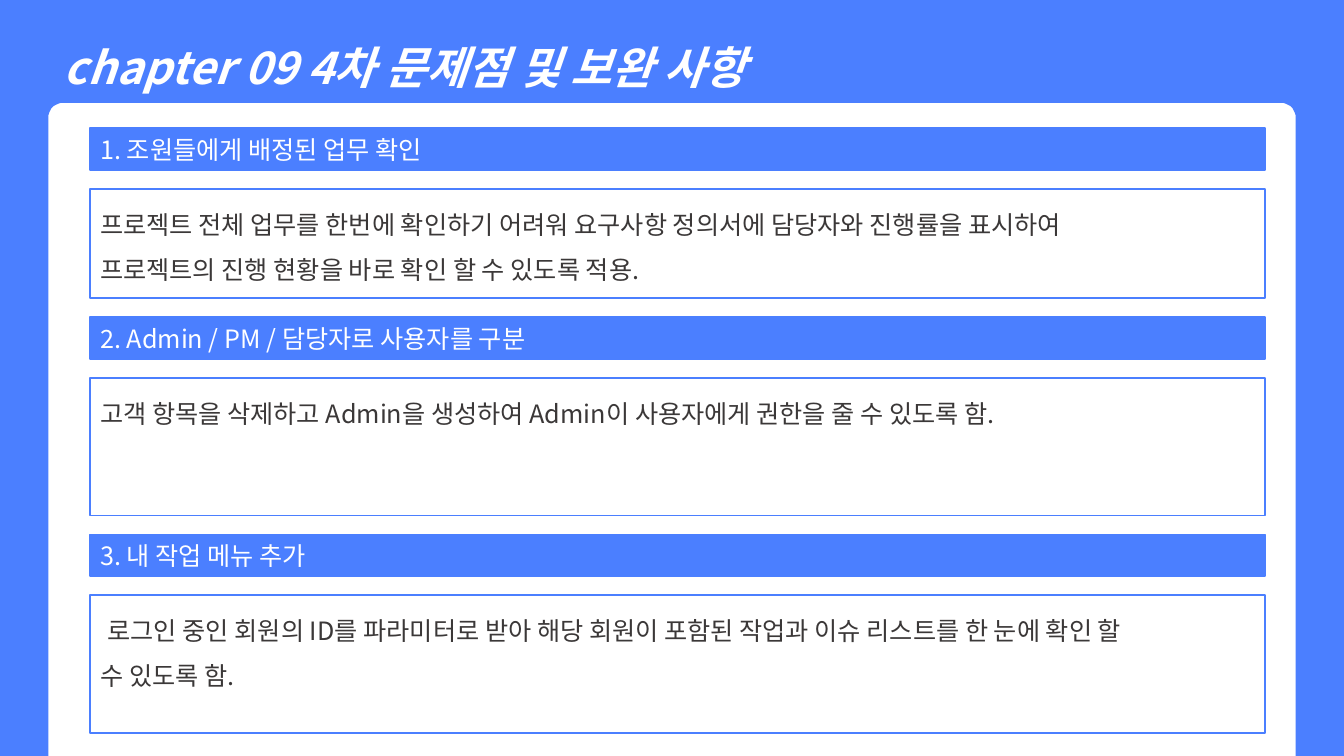
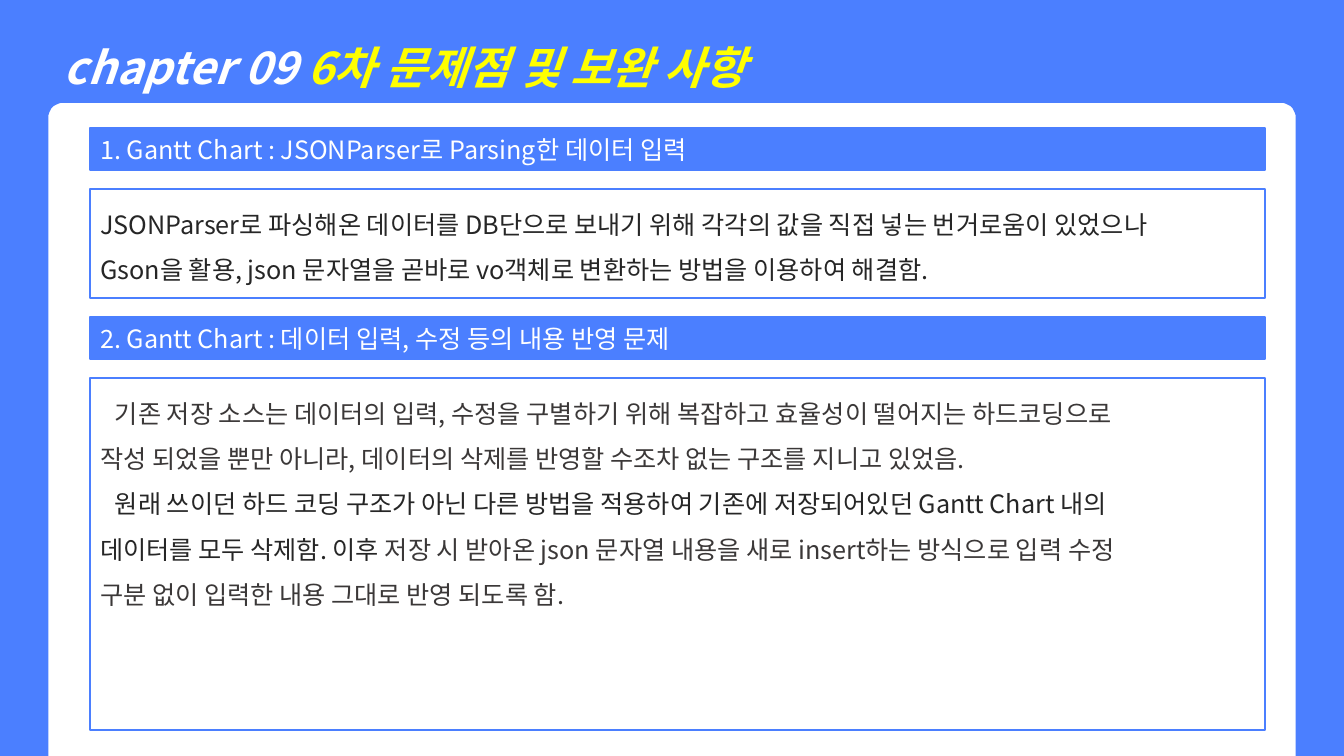
"""Build two chapter slides listing problems and their remedies."""
import math
from dataclasses import dataclass

from lxml import etree
from pptx import Presentation
from pptx.dml.color import RGBColor
from pptx.enum import shapes, text
from pptx.oxml.ns import qn
from pptx.util import Pt

PX = 9525
WIDTH, HEIGHT = 1280, 720
FONT = "Noto Sans CJK KR"
BLUE = RGBColor(0x4B, 0x7F, 0xFF)
WHITE = RGBColor(0xFF, 0xFF, 0xFF)
YELLOW = RGBColor(0xFF, 0xFF, 0x00)
GRAY = RGBColor(0x3B, 0x38, 0x38)
DARK = RGBColor(0x26, 0x26, 0x26)

MARGIN, PANEL_TOP, RADIUS = 46, 98, 14
SECTION_LEFT, SECTION_TOP, SECTION_WIDTH = 86, 122, 1119
BAR_HEIGHT, GAP = 40, 18
HANGING, SPACE = 36, 7


@dataclass
class Line:
    """One paragraph: (text, colour) runs and a first-line shift in px."""
    runs: list
    shift: int = 0


@dataclass
class Section:
    """A heading bar with the box of lines below it."""
    heading: str
    lines: list
    height: int


def line(words, color=GRAY, shift=0):
    """Return a line in a single colour."""
    return Line([(words, color)], shift)


SLIDES = [
    (
        line("chapter 09 4차 문제점 및 보완 사항", WHITE),
        [
            Section("1. 조원들에게 배정된 업무 확인", [
                line("프로젝트 전체 업무를 한번에 확인하기 어려워 요구사항 정의서에 담당자와 진행률을 표시하여"),
                line("프로젝트의 진행 현황을 바로 확인 할 수 있도록 적용."),
            ], 104),
            Section("2. Admin / PM / 담당자로 사용자를 구분", [
                line("고객 항목을 삭제하고 Admin을 생성하여 Admin이 사용자에게 권한을 줄 수 있도록 함."),
            ], 131),
            Section("3. 내 작업 메뉴 추가", [
                line("로그인 중인 회원의 ID를 파라미터로 받아 해당 회원이 포함된 작업과 이슈 리스트를 한 눈에 확인 할",
                     shift=SPACE),
                line("수 있도록 함."),
            ], 131),
        ],
    ),
    (
        Line([("chapter 09 ", WHITE), ("6차 문제점 및 보완 사항", YELLOW)]),
        [
            Section("1. Gantt Chart : JSONParser로 Parsing한 데이터 입력", [
                line("JSONParser로 파싱해온 데이터를 DB단으로 보내기 위해 각각의 값을 직접 넣는 번거로움이 있었으나", DARK),
                line("Gson을 활용, json 문자열을 곧바로 vo객체로 변환하는 방법을 이용하여 해결함.", DARK),
            ], 104),
            Section("2. Gantt Chart : 데이터 입력, 수정 등의 내용 반영 문제", [
                line("기존 저장 소스는 데이터의 입력, 수정을 구별하기 위해 복잡하고 효율성이 떨어지는 하드코딩으로",
                     shift=2 * SPACE),
                line("작성 되었을 뿐만 아니라, 데이터의 삭제를 반영할 수조차 없는 구조를 지니고 있었음."),
                line("원래 쓰이던 하드 코딩 구조가 아닌 다른 방법을 적용하여 기존에 저장되어있던 Gantt Chart 내의",
                     DARK, 2 * SPACE),
                Line([("데이터를 모두 삭제함. 이후 ", DARK),
                      ("저장 시 받아온 json 문자열 내용을 새로 insert하는 방식으로 입력 수정", GRAY)]),
                line("구분 없이 입력한 내용 그대로 반영 되도록 함."),
            ], 335),
        ],
    ),
]


def add_frame(slide):
    """Draw the blue frame around the white panel with rounded top corners."""
    right, center_y = WIDTH - MARGIN, PANEL_TOP + RADIUS
    corners = [(right - RADIUS, range(0, 91, 10)), (MARGIN + RADIUS, range(90, 181, 10))]
    arcs = [(cx + RADIUS * math.cos(math.radians(a)), center_y - RADIUS * math.sin(math.radians(a)))
            for cx, angles in corners for a in angles]
    outline = [(WIDTH, 0), (WIDTH, HEIGHT), (right, HEIGHT), *arcs, (MARGIN, HEIGHT), (0, HEIGHT)]
    fb = slide.shapes.build_freeform(0, 0, scale=PX)
    fb.add_line_segments(outline, close=True)
    sp = fb.convert_to_shape()
    sp.shadow.inherit = False
    sp.fill.solid()
    sp.fill.fore_color.rgb = BLUE
    sp.line.fill.background()


def add_box(parent, kind, x, y, w, h, fill=None):
    """Add a shape, filled and outlined in blue unless no fill is given."""
    sp = parent.shapes.add_shape(kind, x * PX, y * PX, w * PX, h * PX)
    sp.shadow.inherit = False
    if fill is None:
        sp.fill.background()
        sp.line.fill.background()
    else:
        sp.fill.solid()
        sp.fill.fore_color.rgb = fill
        sp.line.color.rgb = BLUE
        sp.line.width = Pt(1.25)
    return sp


def write(sp, lines, size=18, anchor=text.MSO_ANCHOR.MIDDLE, spacing=None, hanging=0, bold=None):
    """Write lines into a shape, with bold ones also italic."""
    tf = sp.text_frame
    tf.word_wrap = True
    tf.vertical_anchor = anchor
    for i, item in enumerate(lines):
        p = tf.paragraphs[0] if i == 0 else tf.add_paragraph()
        p.alignment = text.PP_ALIGN.LEFT
        p.line_spacing = spacing
        if hanging:
            pPr = p._p.get_or_add_pPr()
            pPr.set("marL", str(hanging * PX))
            pPr.set("indent", str((item.shift - hanging) * PX))
        base = item.runs[0][1]
        p.font.size = Pt(size)
        p.font.bold = p.font.italic = bold
        p.font.color.rgb = base
        p.font.name = FONT
        etree.SubElement(p._p.pPr.find(qn("a:defRPr")), qn("a:ea"), typeface=FONT)
        for words, color in item.runs:
            r = p.add_run()
            r.text = words
            if color != base:
                r.font.color.rgb = color


def add_title(slide, title):
    """Add the slide title above the panel."""
    sp = add_box(slide, shapes.MSO_SHAPE.ROUND_2_SAME_RECTANGLE, 48, 7, 1184, 84)
    sp.adjustments[0] = 0.14
    write(sp, [title], size=32, spacing=1.5, bold=True)


def add_section(slide, section, top):
    """Add a heading bar and its box as a group, and return the bottom edge."""
    group = slide.shapes.add_group_shape()
    rect = shapes.MSO_SHAPE.RECTANGLE
    bar = add_box(group, rect, SECTION_LEFT, top, SECTION_WIDTH, BAR_HEIGHT, BLUE)
    write(bar, [line(section.heading, WHITE)])
    body_top = top + BAR_HEIGHT + GAP
    body = add_box(group, rect, SECTION_LEFT, body_top, SECTION_WIDTH, section.height, WHITE)
    write(body, section.lines, anchor=text.MSO_ANCHOR.TOP, spacing=1.5, hanging=HANGING)
    return body_top + section.height


def main():
    """Build and save the slides."""
    prs = Presentation()
    prs.slide_width, prs.slide_height = WIDTH * PX, HEIGHT * PX
    for title, sections in SLIDES:
        slide = prs.slides.add_slide(prs.slide_layouts[6])
        add_frame(slide)
        add_title(slide, title)
        top = SECTION_TOP
        for section in sections:
            top = add_section(slide, section, top) + GAP
    prs.save("out.pptx")


if __name__ == "__main__":
    main()
